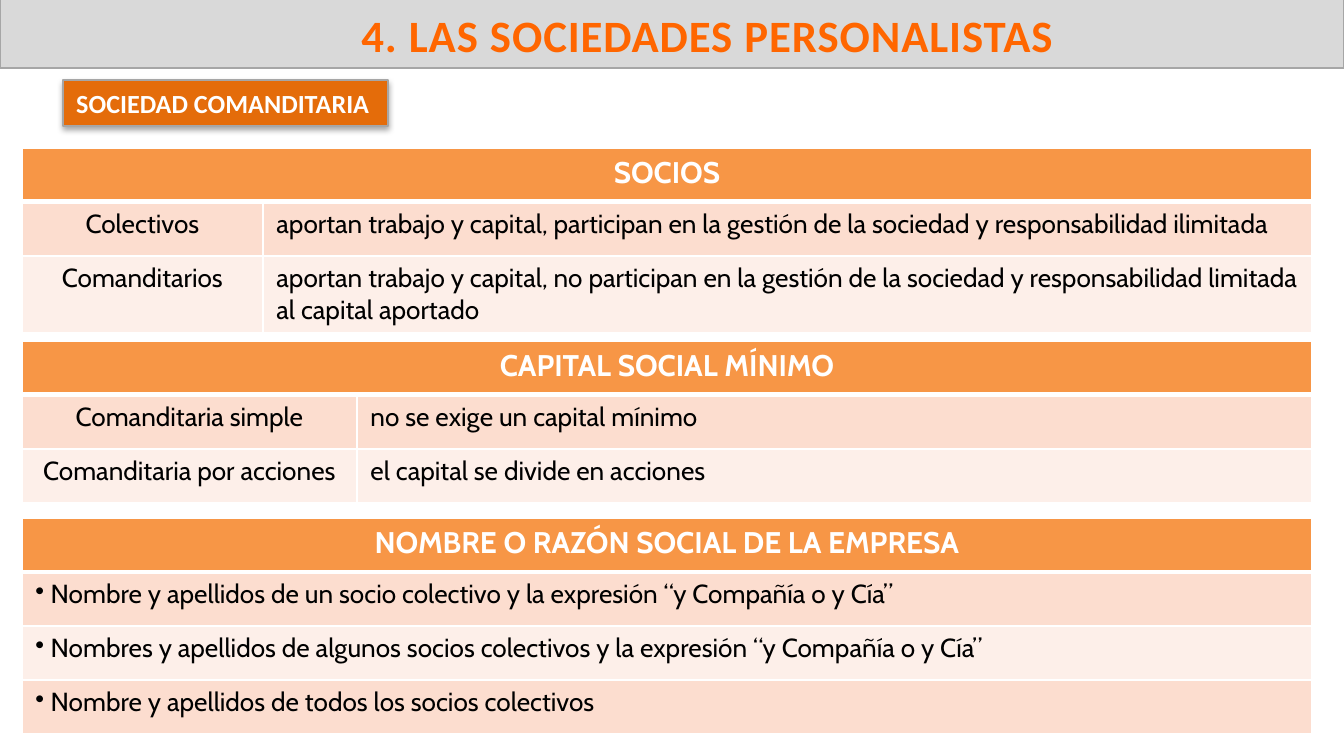
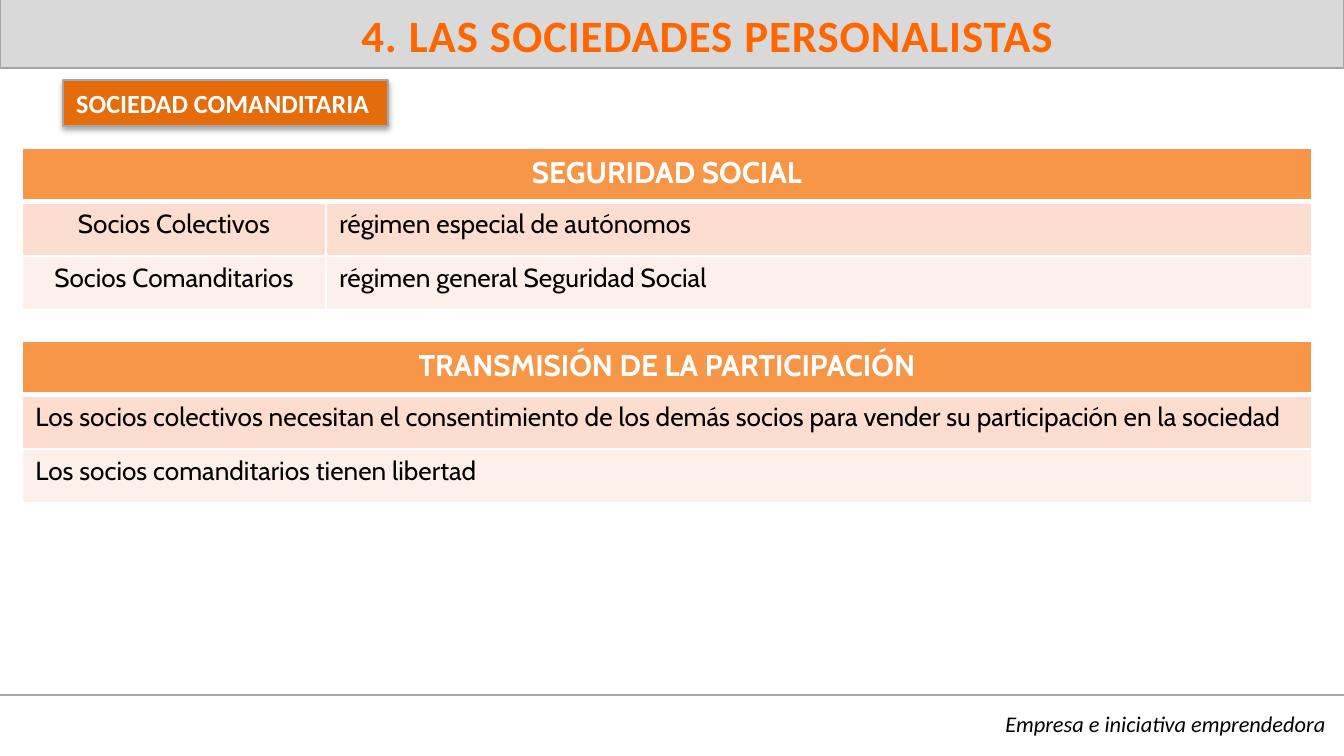
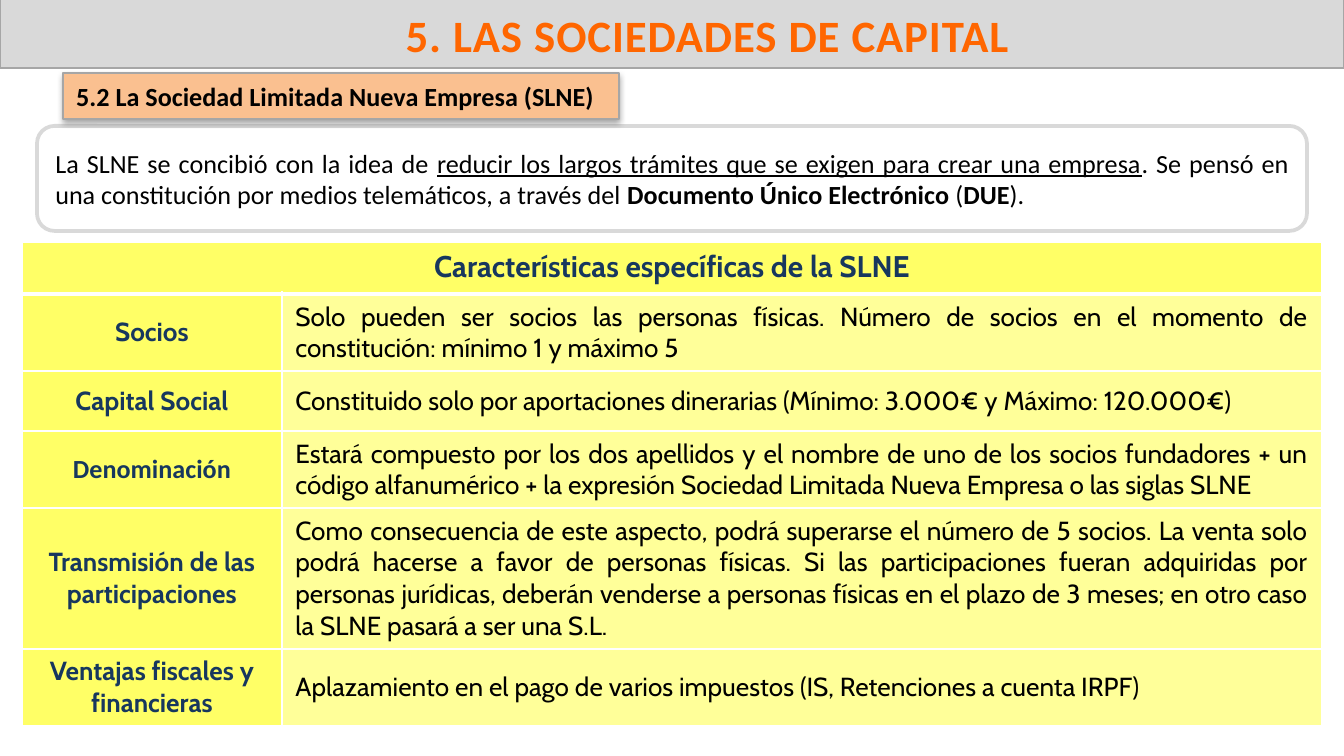
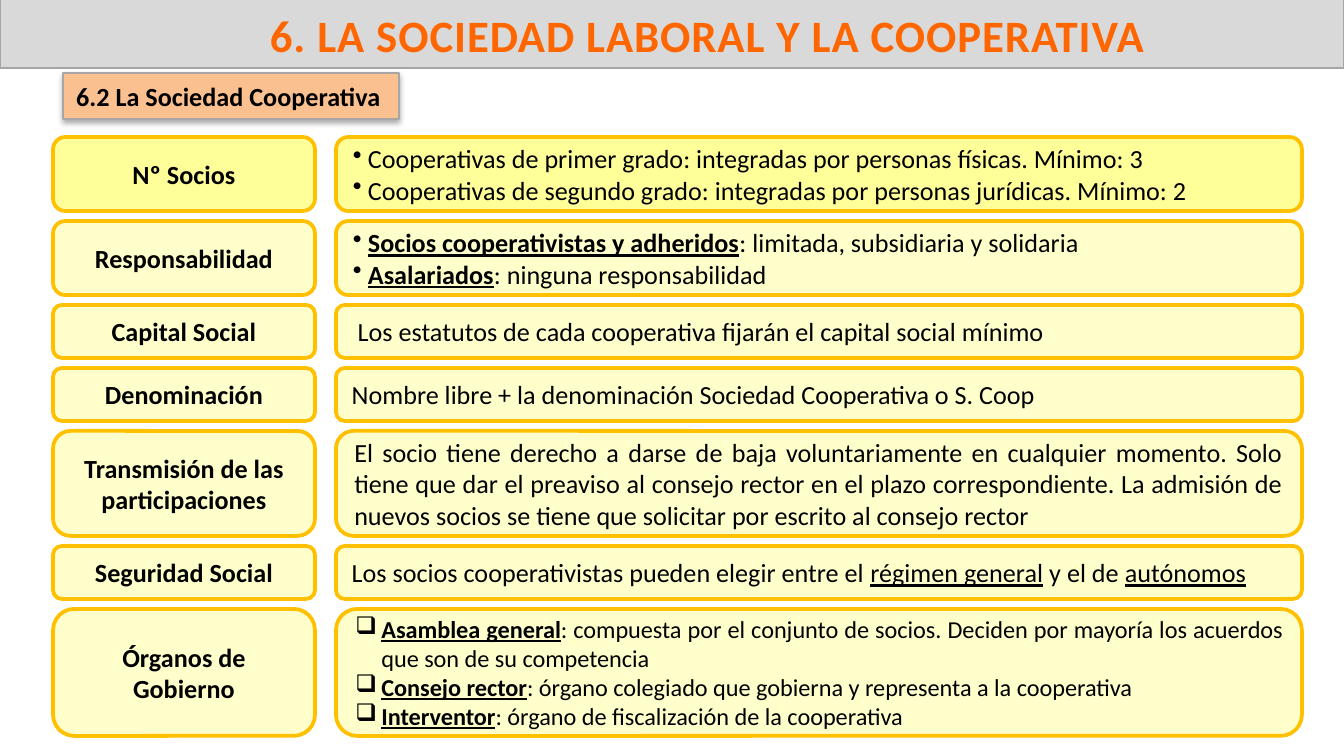
import pptx
import pptx.util
import pptx.dml.color
import pptx.enum.shapes
import pptx.enum.text
import pptx.oxml
import pptx.oxml.ns

RGB = pptx.dml.color.RGBColor
KIND = pptx.enum.shapes.MSO_SHAPE
ALIGN = pptx.enum.text.PP_ALIGN
ANCHOR = pptx.enum.text.MSO_ANCHOR

WHITE = RGB(0xFF, 0xFF, 0xFF)
BLACK = RGB(0, 0, 0)
SILVER = RGB(0xD9, 0xD9, 0xD9)
GREY = RGB(0xA6, 0xA6, 0xA6)
TITLE = RGB(0xFF, 0x66, 0x00)
RUST = RGB(0xE4, 0x6C, 0x0A)
PEACH = RGB(0xFA, 0xC0, 0x90)
ORANGE = RGB(0xF7, 0x96, 0x46)
ROSE = RGB(0xFC, 0xDD, 0xCF)
BLUSH = RGB(0xFD, 0xEF, 0xE9)
NAVY = RGB(0x17, 0x37, 0x5E)
YELLOW = RGB(0xFF, 0xFF, 0x66)
LEMON = RGB(0xFF, 0xFF, 0x99)
CREAM = RGB(0xFF, 0xFF, 0xCC)
GOLD = RGB(0xFF, 0xC0, 0x00)

WIDE, HIGH = 1344, 756
SCALE = 9144000 / WIDE
BODY, CELL = "Calibri", "Cabin"


def px(n):
    return pptx.util.Emu(round(n * SCALE))


def node(tag, inner="", **attrs):
    """Make one drawing element with the given attributes."""
    text = "".join(f' {k}="{v}"' for k, v in attrs.items())
    space = pptx.oxml.ns.nsdecls("a")
    return pptx.oxml.parse_xml(f"<a:{tag} {space}{text}>{inner}</a:{tag}>")


# ---- Text and shapes ----
def put(frame, paras, size=14, ink=BLACK, font=BODY, style="", align=ALIGN.LEFT,
        mark=None, hang=0):
    """Fill a frame; a paragraph is a string or a list of (text, style) runs.
    Style letters: b bold, i italic, u underlined."""
    frame.word_wrap = True
    for i, parts in enumerate(paras):
        para = frame.add_paragraph() if i else frame.paragraphs[0]
        para.alignment = align
        if isinstance(parts, str):
            parts = [(parts, style)]
        for text, look in parts:
            run = para.add_run()
            run.text = text
            run.font.name, run.font.size = font, pptx.util.Pt(size)
            run.font.color.rgb = ink
            run.font.bold = "b" in look
            run.font.italic = "i" in look
            run.font.underline = "u" in look
        if mark:
            props = para._p.get_or_add_pPr()
            props.set("marL", str(px(hang)))
            props.set("indent", str(-px(hang)))
            props.append(node("buChar", char=mark))


def block(slide, box, fill, line, weight, kind=KIND.RECTANGLE):
    shape = slide.shapes.add_shape(kind, *map(px, box))
    shape.shadow.inherit = False
    if fill is None:
        shape.fill.background()
    else:
        shape.fill.solid()
        shape.fill.fore_color.rgb = fill
    shape.line.color.rgb = line
    shape.line.width = pptx.util.Pt(weight)
    return shape


# ---- Parts the slides share ----
def banner(slide, text):
    frame = block(slide, (0, -1, WIDE, 69), SILVER, GREY, 0.75).text_frame
    frame.vertical_anchor = ANCHOR.BOTTOM
    put(frame, [text], 24, TITLE, style="b", align=ALIGN.CENTER)
    para = frame.paragraphs[0]
    para._p.get_or_add_pPr().set("marL", str(px(71)))
    para.runs[0]._r.get_or_add_rPr().set("spc", "50")


def tag(slide, text, y, width, fill, ink):
    shape = block(slide, (63, y, width, 46), fill, GREY, 0.75)
    shade = node("outerShdw",
                 '<a:srgbClr val="000000"><a:alpha val="35000"/></a:srgbClr>',
                 blurRad=40000, dist=23000, dir=5400000, rotWithShape=0)
    shape._element.spPr.find(pptx.oxml.ns.qn("a:effectLst")).append(shade)
    put(shape.text_frame, [text], ink=ink, style="b")


def footer(slide, text):
    box = slide.shapes.add_textbox(*map(px, (121, 704, 1218, 40)))
    put(box.text_frame, [text], 12, style="i", align=ALIGN.RIGHT)
    rule = slide.shapes.add_connector(
        pptx.enum.shapes.MSO_CONNECTOR.STRAIGHT, 0, px(695), px(WIDE), px(695))
    rule.line.color.rgb = GREY
    rule.line.width = pptx.util.Pt(0.75)
    rule._element.spPr.append(node("effectLst"))


# ---- Tables ----
def paint(cell, fill, foot=1):
    """Colour a cell and give it white borders."""
    props = cell._tc.get_or_add_tcPr()
    ink = f'<a:solidFill><a:srgbClr val="{WHITE}"/></a:solidFill>'
    for side in "LRTB":
        weight = foot if side == "B" else 1
        props.append(node("ln" + side, ink, w=weight * 12700))
    cell.fill.solid()
    cell.fill.fore_color.rgb = fill


def grid(slide, x, y, cols, highs, head, fill, ink):
    """Start a table with a merged heading row."""
    frame = slide.shapes.add_table(len(highs), len(cols), px(x), px(y),
                                   px(sum(cols)), px(sum(highs)))
    table = frame.table
    table.horz_banding = False
    for col, width in zip(table.columns, cols):
        col.width = px(width)
    for row, high in zip(table.rows, highs):
        row.height = px(high)
    for cell in table.rows[0].cells:
        paint(cell, fill, 3)
    top = table.cell(0, 0)
    if len(cols) > 1:
        top.merge(table.cell(0, len(cols) - 1))
    put(top.text_frame, [head], 16, ink, CELL, "b", ALIGN.CENTER)
    return table


def facts(slide, y, head, rows, label=0, mark=None, last=54):
    """Orange table; label is the width of the first column, if there is one."""
    cols = [label, 1290 - label] if label else [1290]
    highs = [54] * len(rows) + [last]
    table = grid(slide, 22, y, cols, highs, head, ORANGE, WHITE)
    for r, row in enumerate(rows):
        for c, text in enumerate(row):
            cell = table.cell(r + 1, c)
            paint(cell, BLUSH if r % 2 else ROSE)
            side = ALIGN.CENTER if label and c == 0 else ALIGN.LEFT
            put(cell.text_frame, [text], font=CELL, align=side, mark=mark)


def traits(slide, y, head, highs, rows):
    """Yellow table with bold labels."""
    table = grid(slide, 22, y, [260, 1040], highs, head, YELLOW, NAVY)
    for r, (name, text) in enumerate(rows, 1):
        left, right = table.rows[r].cells
        paint(left, YELLOW)
        paint(right, LEMON)
        left.vertical_anchor = right.vertical_anchor = ANCHOR.MIDDLE
        font = BODY if name == "Denominación" else CELL
        put(left.text_frame, [name], ink=NAVY, font=font, style="b",
            align=ALIGN.CENTER)
        put(right.text_frame, [text], font=CELL, align=ALIGN.JUSTIFY)


# ---- Rounded boxes ----
def bubble(slide, box, fill, line, paras, **look):
    shape = block(slide, box, fill, line, 2, KIND.ROUNDED_RECTANGLE)
    shape.text_frame.vertical_anchor = ANCHOR.MIDDLE
    put(shape.text_frame, paras, **look)


def pairs(slide, y, rows, gap=10):
    """Stack rows of a label box beside a text box."""
    for i, (high, name, paras, look) in enumerate(rows):
        fill = CREAM if i else LEMON
        bubble(slide, (53, y, 262, high), fill, GOLD, [name], style="b",
               align=ALIGN.CENTER)
        bubble(slide, (336, y, 966, high), fill, GOLD, paras,
               align=ALIGN.JUSTIFY, **look)
        y += high + gap


deck = pptx.Presentation()
deck.slide_width, deck.slide_height = px(WIDE), px(HIGH)


def page(title):
    slide = deck.slides.add_slide(deck.slide_layouts[6])
    banner(slide, title)
    return slide


PEOPLE = "4. LAS SOCIEDADES PERSONALISTAS"
LIMITED = "SOCIEDAD COMANDITARIA"

# ---- Slide 1: partners, capital and name ----
slide = page(PEOPLE)
tag(slide, LIMITED, 80, 325, RUST, WHITE)
facts(slide, 148, "SOCIOS", [
    ("Colectivos", "aportan trabajo y capital, participan en la gestión de la "
     "sociedad y responsabilidad ilimitada"),
    ("Comanditarios", "aportan trabajo y capital, no participan en la gestión "
     "de la sociedad y responsabilidad limitada al capital aportado"),
], 241, last=75)
facts(slide, 341, "CAPITAL SOCIAL MÍNIMO", [
    ("Comanditaria simple", "no se exige un capital mínimo"),
    ("Comanditaria por acciones", "el capital se divide en acciones"),
], 335)
facts(slide, 518, "NOMBRE O RAZÓN SOCIAL DE LA EMPRESA", [
    (" Nombre y apellidos de un socio colectivo y la expresión "
     "“y Compañía o y Cía”",),
    (" Nombres y apellidos de algunos socios colectivos y la expresión "
     "“y Compañía o y Cía”",),
    (" Nombre y apellidos de todos los socios colectivos",),
], mark="•")

# ---- Slide 2: social security and transfer ----
slide = page(PEOPLE)
tag(slide, LIMITED, 80, 325, RUST, WHITE)
facts(slide, 148, "SEGURIDAD SOCIAL", [
    ("Socios Colectivos", "régimen especial de autónomos"),
    ("Socios Comanditarios", "régimen general Seguridad Social"),
], 304)
facts(slide, 341, "TRANSMISIÓN DE LA PARTICIPACIÓN", [
    ("Los socios colectivos necesitan el consentimiento de los demás socios "
     "para vender su participación en la sociedad",),
    ("Los socios comanditarios tienen libertad",),
])
footer(slide, "Empresa e iniciativa emprendedora")

# ---- Slide 3: the new limited company ----
slide = page("5. LAS SOCIEDADES DE CAPITAL")
bubble(slide, (37, 126, 1270, 105), None, SILVER, [[
    ("La SLNE se concibió con la idea de ", ""),
    ("reducir los largos trámites que se exigen para crear una empresa", "u"),
    (". Se pensó en una constitución por medios telemáticos, a través del ", ""),
    ("Documento Único Electrónico ", "b"), ("(", ""), ("DUE", "b"), (").", ""),
]], align=ALIGN.JUSTIFY)
tag(slide, "5.2 La Sociedad Limitada Nueva Empresa (SLNE)", 73, 556, PEACH, BLACK)
traits(slide, 242, "Características específicas de la SLNE",
       [52, 76, 60, 76, 140, 75], [
    ("Socios", "Solo pueden ser socios las personas físicas. Número de socios "
     "en el momento de constitución: mínimo 1 y máximo 5"),
    ("Capital Social", "Constituido solo por aportaciones dinerarias "
     "(Mínimo: 3.000€ y Máximo: 120.000€)"),
    ("Denominación", "Estará compuesto por los dos apellidos y el nombre de "
     "uno de los socios fundadores + un código alfanumérico + la expresión "
     "Sociedad Limitada Nueva Empresa o las siglas SLNE"),
    ("Transmisión de las participaciones", "Como consecuencia de este aspecto, "
     "podrá superarse el número de 5 socios. La venta solo podrá hacerse a "
     "favor de personas físicas. Si las participaciones fueran adquiridas por "
     "personas jurídicas, deberán venderse a personas físicas en el plazo de "
     "3 meses; en otro caso la SLNE pasará a ser una S.L."),
    ("Ventajas fiscales y financieras", "Aplazamiento en el pago de varios "
     "impuestos (IS, Retenciones a cuenta IRPF)"),
])

# ---- Slide 4: the cooperative ----
slide = page("6. LA SOCIEDAD LABORAL Y LA COOPERATIVA")
tag(slide, "6.2 La Sociedad Cooperativa", 73, 336, PEACH, BLACK)
DOTS = {"mark": "•"}
TICKS = {"mark": "❑", "hang": 26, "size": 13}
pairs(slide, 137, [
    (74, "Nº Socios", [
        " Cooperativas de primer grado: integradas por personas físicas. "
        "Mínimo: 3",
        " Cooperativas de segundo grado: integradas por personas jurídicas. "
        "Mínimo: 2"], DOTS),
    (74, "Responsabilidad", [
        [(" ", ""), ("Socios cooperativistas y adheridos", "bu"),
         (": limitada, subsidiaria y solidaria", "")],
        [(" ", ""), ("Asalariados", "bu"),
         (": ninguna responsabilidad", "")]], DOTS),
    (53, "Capital Social", [
        " Los estatutos de cada cooperativa fijarán el capital social mínimo"],
     {}),
    (53, "Denominación", [
        "Nombre libre + la denominación Sociedad Cooperativa o S. Coop"], {}),
    (105, "Transmisión de las participaciones", [
        "El socio tiene derecho a darse de baja voluntariamente en cualquier "
        "momento. Solo tiene que dar el preaviso al consejo rector en el plazo "
        "correspondiente. La admisión de nuevos socios se tiene que solicitar "
        "por escrito al consejo rector"], {}),
    (53, "Seguridad Social", [
        [("Los socios cooperativistas pueden elegir entre el ", ""),
         ("régimen general", "u"), (" y el de ", ""), ("autónomos", "u")]], {}),
    (127, "Órganos de Gobierno", [
        [("Asamblea general", "bu"),
         (": compuesta por el conjunto de socios. Deciden por mayoría los "
          "acuerdos que son de su competencia", "")],
        [("Consejo rector", "bu"),
         (": órgano colegiado que gobierna y representa a la cooperativa", "")],
        [("Interventor", "bu"),
         (": órgano de fiscalización de la cooperativa", "")]], TICKS),
])

deck.save("out.pptx")
